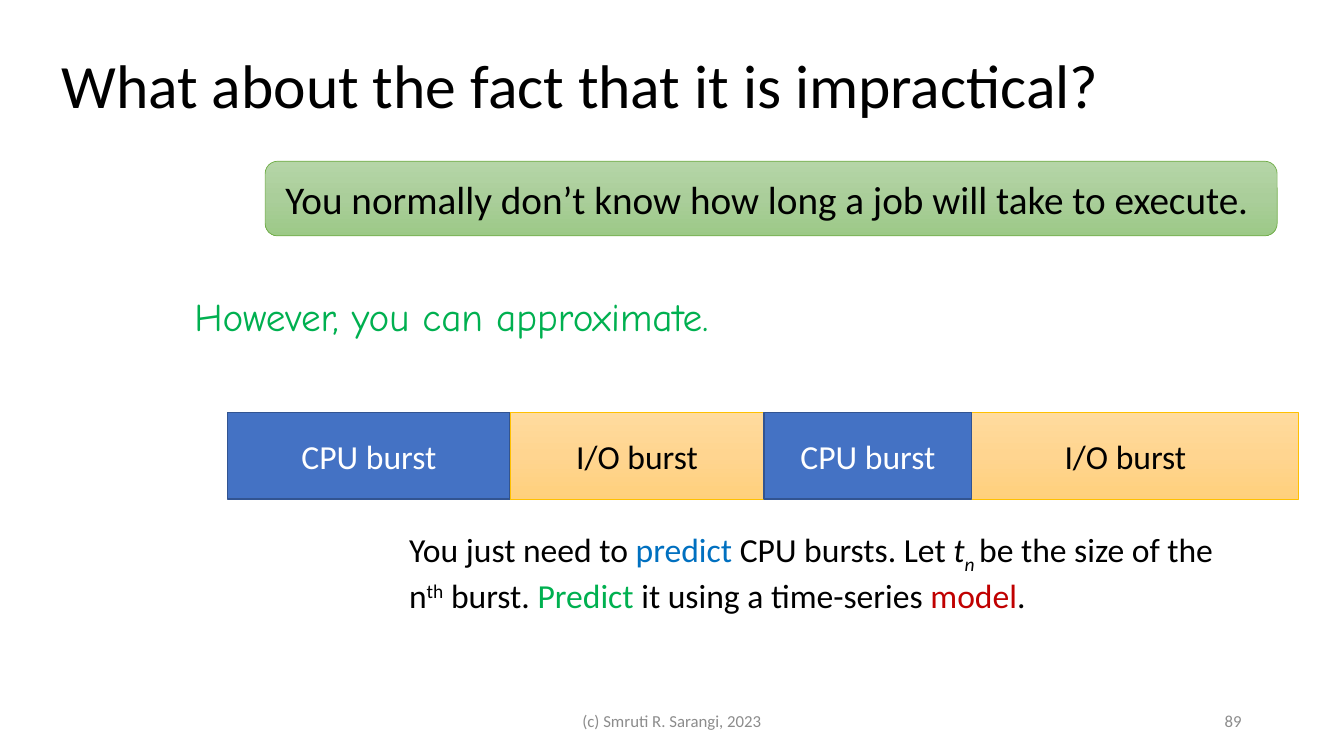
import copy
from dataclasses import dataclass

import pptx
import pptx.dml.color
import pptx.enum.shapes
import pptx.enum.text
import pptx.oxml.ns
import pptx.util

Pt = pptx.util.Pt
Align = pptx.enum.text.PP_ALIGN
Anchor = pptx.enum.text.MSO_ANCHOR
Kind = pptx.enum.shapes.MSO_SHAPE
BLACK, GREY, GREEN = "000000", "8C8C8C", "00B050"


@dataclass
class Run:
    text: str
    color: str = BLACK
    italic: bool = False
    base: int = 0


@dataclass
class Label:
    box: tuple[float, float, float, float]
    size: float
    lines: list[list[Run]]
    align: Align = Align.LEFT
    anchor: Anchor = Anchor.MIDDLE
    font: str = "Calibri"
    wrap: bool = True
    pitch: float = 1.0


@dataclass
class Style:
    fills: list[str]
    line: str
    width: float
    ink: str


@dataclass
class Block:
    box: tuple[float, float, float, float]
    text: str
    style: Style
    size: float = 24
    kind: Kind = Kind.RECTANGLE


def rgb(code: str) -> pptx.dml.color.RGBColor:
    return pptx.dml.color.RGBColor.from_string(code)


def write(shape, label: Label) -> None:
    frame = shape.text_frame
    frame.word_wrap = label.wrap
    frame.vertical_anchor = label.anchor
    para = frame.paragraphs[0]
    para.alignment = label.align
    para.line_spacing = label.pitch
    for row, runs in enumerate(label.lines):
        if row:
            para.add_line_break()
        for part in runs:
            run = para.add_run()
            run.text = part.text
            font = run.font
            font.name, font.size = label.font, Pt(label.size)
            font.italic = part.italic
            font.color.rgb = rgb(part.color)
            if part.base:
                font._element.set("baseline", str(part.base * 1000))


def paint(shape, fills: list[str]) -> None:
    if len(fills) == 1:
        shape.fill.solid()
        shape.fill.fore_color.rgb = rgb(fills[0])
        return
    shape.fill.gradient()
    shape.fill.gradient_angle = 270
    stops = next(shape._element.spPr.iter(pptx.oxml.ns.qn("a:gsLst")))
    stops.insert(1, copy.deepcopy(stops[0]))
    for rank, (stop, code) in enumerate(zip(shape.fill.gradient_stops, fills)):
        stop.color.rgb = rgb(code)
        stop.position = rank / (len(fills) - 1)


def add_label(slide, label: Label) -> None:
    write(slide.shapes.add_textbox(*map(Pt, label.box)), label)


def add_block(slide, block: Block) -> None:
    shape = slide.shapes.add_shape(block.kind, *map(Pt, block.box))
    style = block.style
    shape.shadow.inherit = False
    paint(shape, style.fills)
    shape.line.color.rgb = rgb(style.line)
    shape.line.width = Pt(style.width)
    write(shape, Label(block.box, block.size, [[Run(block.text, style.ink)]], Align.CENTER))


CPU = Style(["4472C4"], "325491", 1, "FFFFFF")
DISK = Style(["FFDB9E", "FFD590", "FFD07C"], "FFC000", 0.5, BLACK)
CLAIM = Style(["B5D5A7", "AACE9A", "9CC987"], "70AD47", 0.5, BLACK)

LABELS = [
    Label((36.7, 10.8, 828, 104.4), 44,
          [[Run("What about the fact that it is impractical?")]], pitch=0.9),
    Label((318, 500.4, 324, 28.8), 12,
          [[Run("(c) Smruti R. Sarangi, 2023", GREY)]], Align.CENTER),
    Label((678, 500.4, 216, 28.8), 12, [[Run("89", GREY)]], Align.RIGHT),
    Label((131.8, 205.2, 420.5, 41), 28,
          [[Run("However, you can approximate.", GREEN)]],
          anchor=Anchor.TOP, font="Comic Neue", wrap=False),
    Label((285.1, 374.4, 602.6, 65.5), 24, [
        [Run("You just need to "), Run("predict", "0070C0"),
         Run(" CPU bursts. Let "), Run("t", italic=True),
         Run("n ", italic=True, base=-25), Run("be the size of the ")],
        [Run("n"), Run("th", base=30), Run(" burst. "), Run("Predict", GREEN),
         Run(" it using a time-series "), Run("model", "C00000"), Run(".")],
    ], anchor=Anchor.TOP, wrap=False),
]

TOP, HIGH = 294.5, 61.9
BURSTS = [
    (162.7, 201.6, "CPU burst", CPU),
    (364.3, 181.5, "I/O burst", DISK),
    (680.4, 247, "I/O burst", DISK),
    (545.8, 148.3, "CPU burst", CPU),
]


def main() -> None:
    deck = pptx.Presentation()
    deck.slide_width, deck.slide_height = Pt(960), Pt(540)
    slide = deck.slides.add_slide(deck.slide_layouts[6])
    add_block(slide, Block((189.4, 115.2, 722.9, 53.3),
                           "You normally don’t know how long a job will take to execute. ",
                           CLAIM, 28, Kind.ROUNDED_RECTANGLE))
    for left, wide, text, style in BURSTS:
        add_block(slide, Block((left, TOP, wide, HIGH), text, style))
    for label in LABELS:
        add_label(slide, label)
    deck.save("out.pptx")


if __name__ == "__main__":
    main()
